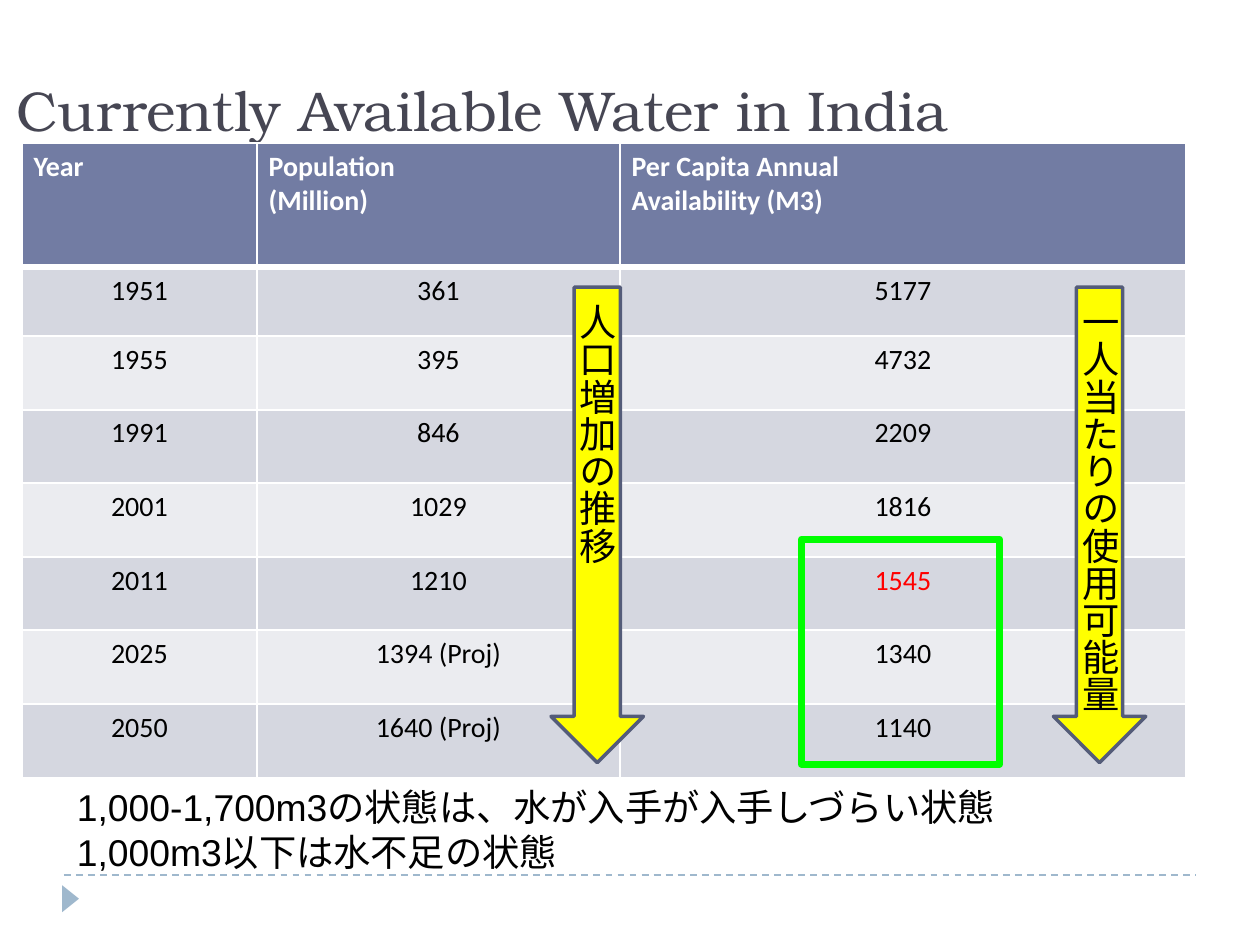
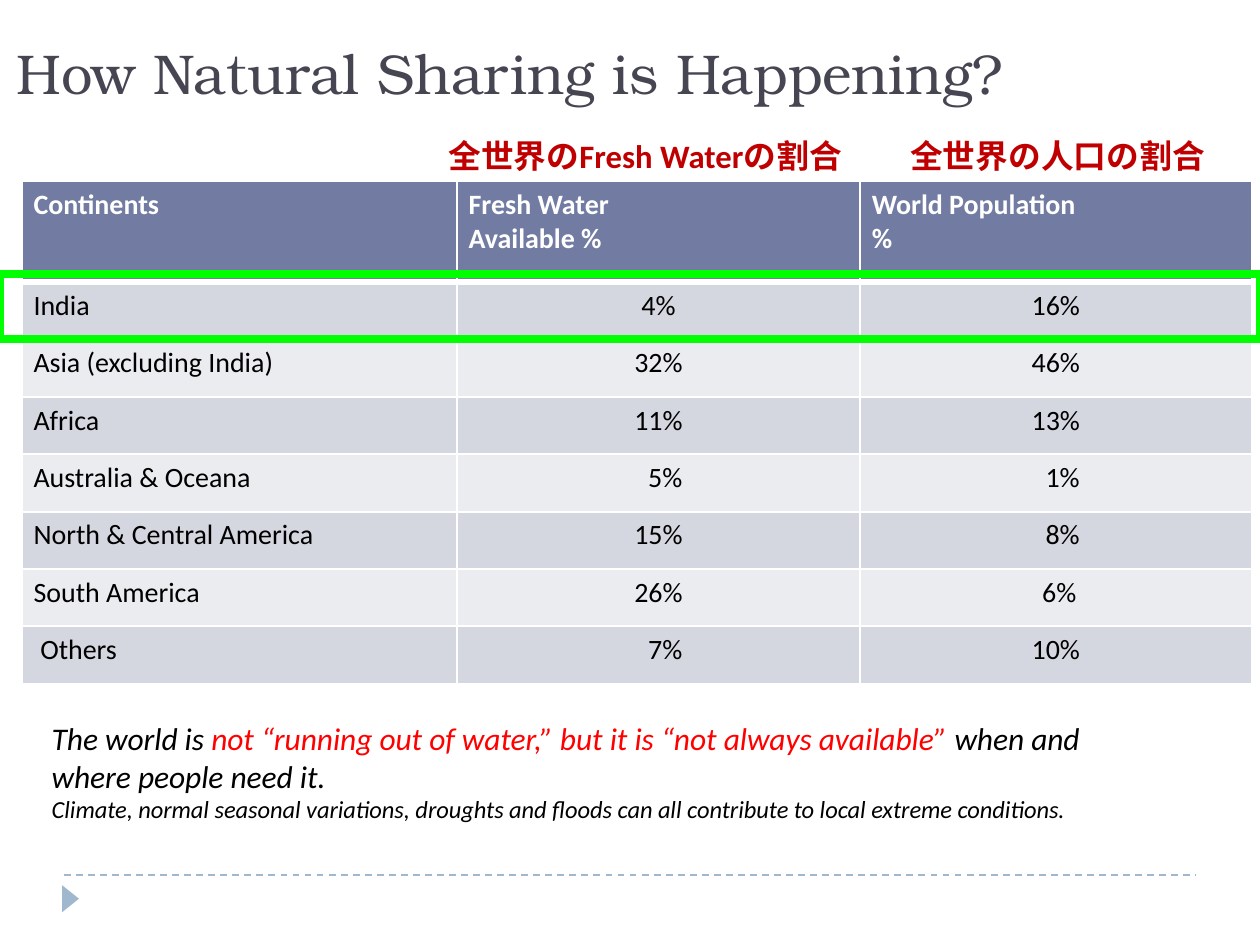
"""Builds two slides on water availability and water sharing in India and the world."""
from lxml.etree import SubElement
from pptx import Presentation
from pptx.dml.color import RGBColor
from pptx.enum.dml import MSO_LINE
from pptx.enum.shapes import MSO_CONNECTOR, MSO_SHAPE
from pptx.enum.text import MSO_ANCHOR as ANCHOR, PP_ALIGN as ALIGN
from pptx.oxml.ns import qn
from pptx.util import Inches, Pt

COLORS = {
    "title": "464653", "footer": "9FB8CD", "header": "727CA3",
    "odd_row": "D5D7E0", "even_row": "EBECF0", "white": "FFFFFF",
    "black": "000000", "red": "FF0000", "dark_red": "C00000",
    "yellow": "FFFF00", "arrow_edge": "545C79", "green": "00FF00",
}
TITLE_FONT, BODY_FONT, CJK_FONT = "TeX Gyre Bonum", "Calibri", "Noto Sans CJK JP"

AVAILABILITY = [
    ["Year", "Population\n(Million)", "Per Capita Annual\nAvailability (M3)"],
    ["1951", "361", "5177"],
    ["1955", "395", "4732"],
    ["1991", "846", "2209"],
    ["2001", "1029", "1816"],
    ["2011", "1210", ("1545", {"color": "red"})],
    ["2025", "1394 (Proj)", "1340"],
    ["2050", "1640 (Proj)", "1140"],
]
INDENT = {"indent": 0.08}
HALF_INDENT = {"indent": 0.04}
SHARING = [
    ["Continents", "Fresh Water\nAvailable %", "World Population\n%"],
    ["India", "4%", "16%"],
    ["Asia (excluding India)", "32%", "46%"],
    ["Africa", "11%", "13%"],
    ["Australia & Oceana", ("5%", INDENT), ("1%", INDENT)],
    ["North & Central America", "15%", ("8%", INDENT)],
    ["South America", "26%", ("6%", HALF_INDENT)],
    [("Others", HALF_INDENT), ("7%", INDENT), "10%"],
]


def rgb(name):
    return RGBColor.from_string(COLORS[name])


def box(*lengths):
    return [Inches(length) for length in lengths]


def write(frame, text, align=ALIGN.LEFT, anchor=ANCHOR.TOP, **style):
    """Fill a frame from a string, or from paragraphs made of (text, style) runs."""
    frame.word_wrap = True
    frame.vertical_anchor = anchor
    if isinstance(text, str):
        text = [[(line, {})] for line in text.split("\n")]
    for index, runs in enumerate(text):
        paragraph = frame.add_paragraph() if index else frame.paragraphs[0]
        paragraph.alignment = align
        for words, changes in runs:
            style_run(paragraph.add_run(), words, **{**style, **changes})


def style_run(run, words, size=12, color="black", font=BODY_FONT, bold=False, italic=False):
    run.text = words
    run.font.size = Pt(size)
    run.font.bold = bold
    run.font.italic = italic
    run.font.color.rgb = rgb(color)
    run.font.name = font
    SubElement(run.font._element, qn("a:ea"), typeface=CJK_FONT)


def add_text(slide, place, text, **style):
    write(slide.shapes.add_textbox(*box(*place)).text_frame, text, **style)


def add_figure(slide, preset, place, fill=None, line=None, width=1.0):
    figure = slide.shapes.add_shape(preset, *box(*place))
    figure.shadow.inherit = False
    if fill:
        figure.fill.solid()
        figure.fill.fore_color.rgb = rgb(fill)
    else:
        figure.fill.background()
    if line:
        figure.line.color.rgb = rgb(line)
        figure.line.width = Pt(width)
    else:
        figure.line.fill.background()
    return figure


def add_trend_arrow(slide, left, label):
    arrow = add_figure(slide, MSO_SHAPE.DOWN_ARROW, (left, 1.71, 0.55, 2.83),
                       "yellow", "arrow_edge", 1.5)
    write(arrow.text_frame, label, ALIGN.CENTER, ANCHOR.MIDDLE, size=16, font=CJK_FONT)
    arrow.text_frame._txBody.bodyPr.set("vert", "eaVert")


def add_footer(slide):
    rule = slide.shapes.add_connector(MSO_CONNECTOR.STRAIGHT, *box(0.38, 5.21, 7.12, 5.21))
    rule.line.color.rgb = rgb("footer")
    rule.line.width = Pt(0.75)
    rule.line.dash_style = MSO_LINE.DASH
    SubElement(rule._element.spPr, qn("a:effectLst"))
    marker = add_figure(slide, MSO_SHAPE.ISOSCELES_TRIANGLE, (0.34, 5.3, 0.16, 0.1), "footer")
    marker.rotation = 90


def add_borders(cell, top, bottom):
    properties = cell._tc.get_or_add_tcPr()
    for side, points in (("lnL", 1), ("lnR", 1), ("lnT", top), ("lnB", bottom)):
        line = SubElement(properties, qn(f"a:{side}"), w=str(Pt(points)))
        SubElement(SubElement(line, qn("a:solidFill")), qn("a:srgbClr"), val=COLORS["white"])


def fill_cell(cell, row, text, align, indent=0, color="black"):
    header = row == 0
    add_borders(cell, top=3 if row == 1 else 1, bottom=3 if header else 1)
    cell.fill.solid()
    cell.fill.fore_color.rgb = rgb("header" if header else "odd_row" if row % 2 else "even_row")
    cell.margin_left, cell.margin_right = box(0.07 + indent, 0.07)
    cell.margin_top = cell.margin_bottom = Inches(0.04)
    write(cell.text_frame, text, ALIGN.LEFT if header else align,
          color="white" if header else color, bold=header)


def add_data_table(slide, left, top, widths, heights, rows, aligns):
    place = box(left, top, sum(widths), sum(heights))
    table = slide.shapes.add_table(len(rows), len(widths), *place).table
    table.horz_banding = False
    for column, width in zip(table.columns, widths):
        column.width = Inches(width)
    for table_row, height in zip(table.rows, heights):
        table_row.height = Inches(height)
    for r, values in enumerate(rows):
        for c, value in enumerate(values):
            text, changes = (value, {}) if isinstance(value, str) else value
            fill_cell(table.cell(r, c), r, text, aligns[c], **changes)


def add_titled_slide(deck, title, top, height):
    slide = deck.slides.add_slide(deck.slide_layouts[6])
    add_footer(slide)
    add_text(slide, (0, top, 6.75, height), title, anchor=ANCHOR.BOTTOM,
             size=24, font=TITLE_FONT, color="title")
    return slide


def build_availability(deck):
    slide = add_titled_slide(deck, "Currently Available Water in India", 0.29, 0.61)
    add_data_table(slide, 0.13, 0.85, [1.4, 2.16, 3.37], [0.74, 0.41] + [2.63 / 6] * 6,
                   AVAILABILITY, [ALIGN.CENTER] * 3)
    add_text(slide, (0.36, 4.62, 6.22, 0.64),
             "1,000-1,700m3の状態は、水が入手が入手しづらい状態\n1,000m3以下は水不足の状態",
             size=16, font="Arial")
    add_trend_arrow(slide, 3.28, "人口増加の推移")
    add_trend_arrow(slide, 6.27, "一人当たりの使用可能量")
    add_figure(slide, MSO_SHAPE.RECTANGLE, (4.77, 3.21, 1.18, 1.34), line="green", width=3)


def build_sharing(deck):
    slide = add_titled_slide(deck, "How Natural Sharing is Happening?", 0.12, 0.56)
    add_data_table(slide, 0.13, 1.08, [2.59, 2.4, 2.33], [0.6] + [2.39 / 7] * 7,
                   SHARING, [ALIGN.LEFT, ALIGN.CENTER, ALIGN.CENTER])
    add_text(slide, (0.21, 4.23, 6.8, 0.73), [
        [("The world is ", {}),
         ("not “running out of water,” but it is “not always available”", {"color": "red"}),
         (" when and where people need it.", {})],
        [("Climate, normal seasonal variations, droughts and floods can all contribute "
          "to local extreme conditions.", {"size": 10.5})],
    ], size=13.5, italic=True)
    for left, width, label in ((5.32, 2.36, "全世界の人口の割合"),
                               (2.57, 3.31, "全世界のFresh Waterの割合")):
        add_text(slide, (left, 0.69, width, 0.47), label, anchor=ANCHOR.MIDDLE,
                 size=14, color="dark_red", bold=True)
    add_figure(slide, MSO_SHAPE.RECTANGLE, (0, 1.63, 7.5, 0.39), line="green", width=3.25)


def main():
    deck = Presentation()
    deck.slide_width = Inches(7.5)
    deck.slide_height = deck.slide_width * 3 // 4
    build_availability(deck)
    build_sharing(deck)
    deck.save("out.pptx")


if __name__ == "__main__":
    main()
